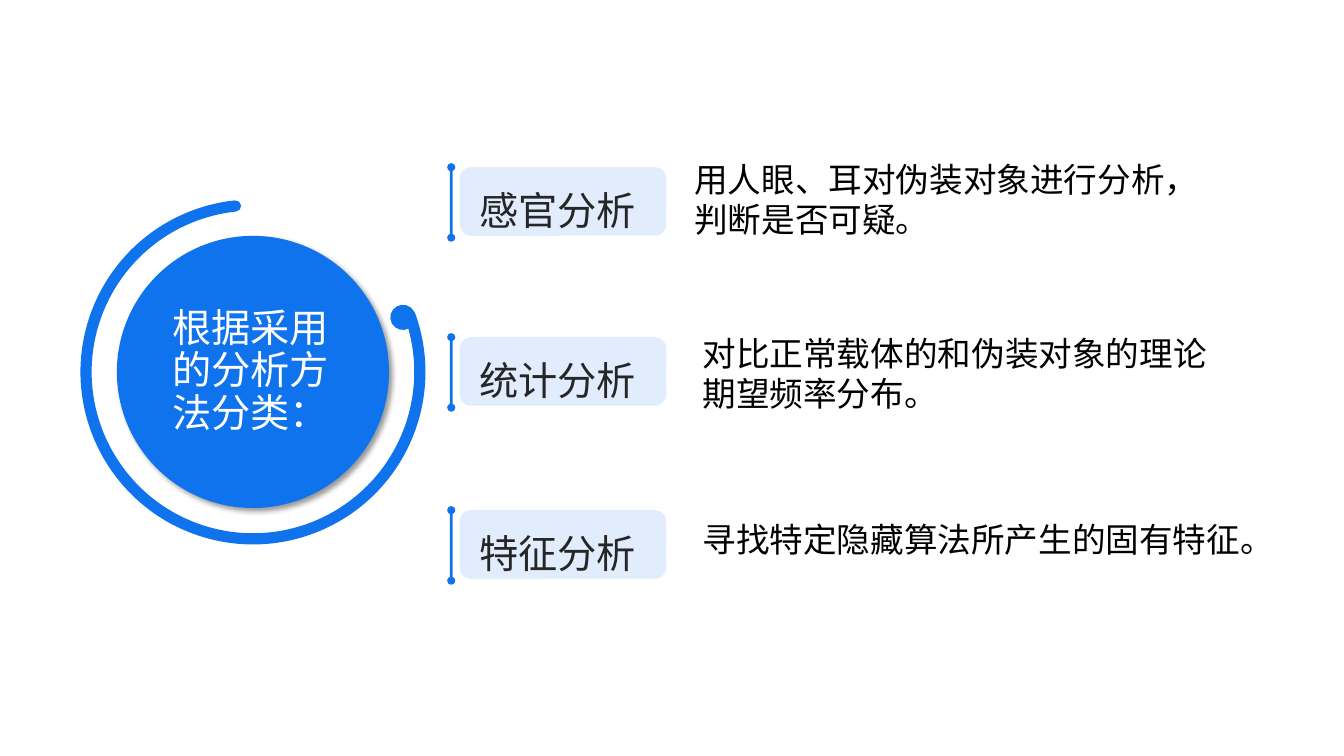
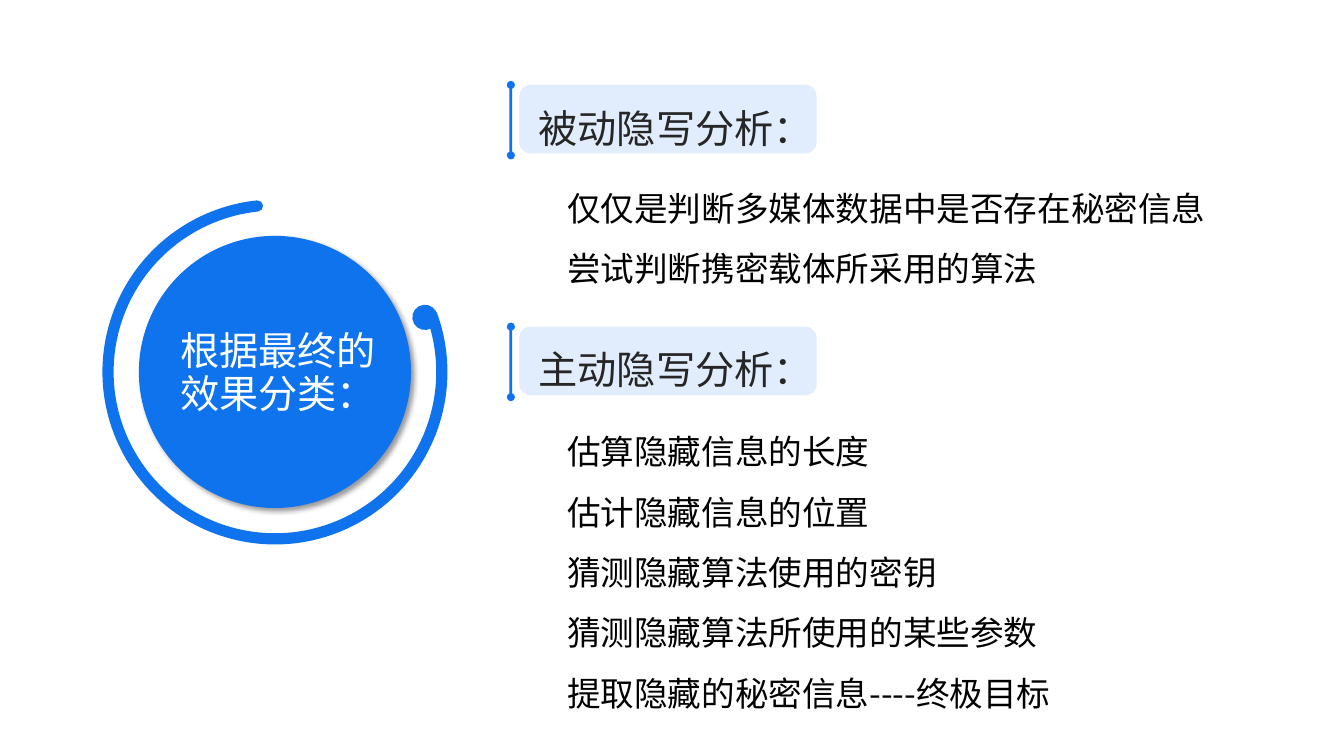
from dataclasses import dataclass
from math import cos, dist, radians, sin, tan
from typing import NamedTuple

from lxml.etree import SubElement
from pptx import Presentation
from pptx.dml.color import RGBColor
from pptx.enum.shapes import MSO_SHAPE
from pptx.enum.text import MSO_ANCHOR, MSO_AUTO_SIZE, PP_ALIGN
from pptx.oxml.ns import qn
from pptx.util import Pt

# Shared style
FONT = "Noto Sans CJK SC"
BLUE, WHITE, BLACK, DARK = "0F73EE", "FFFFFF", "000000", "262626"
HEADING_SIZE, BODY_SIZE = 28, 24
BODY_INDENT = 36

# Emblem: a disc inside an open ring that ends in a knob
CENTER_Y = 265.7
DISC_RADIUS = 97.2
RING_RADIUS, RING_HALF_WIDTH = 119.2, 4
RING_ANGLES = (-20, 20, 106, 196, 252, 264)
KNOB_ORBIT, KNOB_RADIUS = 114, 9

# Label: a tinted plate beside a rail with two dots
LABEL_HEIGHT, RAIL_HEIGHT, DOT_RADIUS = 49, 50.4, 2.9
UNITS_PER_POINT = 100

Point = tuple[float, float]


class Area(NamedTuple):
    left: float
    top: float
    width: float
    height: float

    def lengths(self) -> list:
        return [Pt(value) for value in self]


class Arc(NamedTuple):
    """A circular arc, cut into one curve between each two angles."""
    center: Point
    radius: float
    angles: tuple[float, ...]


@dataclass
class Emblem:
    center_x: float
    text: str
    area: Area


@dataclass
class Label:
    text: str
    left: float
    top: float
    width: float


@dataclass
class Body:
    lines: list[str]
    area: Area
    line_spacing: float = 1.0


def color(hex_value: str) -> RGBColor:
    return RGBColor.from_string(hex_value)


def paint(shape, hex_value: str, opacity: int = 100) -> None:
    """Give a shape a flat fill without outline or inherited shadow."""
    shape.shadow.inherit = False
    shape.line.fill.background()
    shape.fill.solid()
    shape.fill.fore_color.rgb = color(hex_value)
    if opacity < 100:
        tone = shape.element.spPr.find(qn("a:solidFill"))[0]
        SubElement(tone, qn("a:alpha"), val=str(opacity * 1000))


def add_shadow(shape) -> None:
    effects = shape.element.spPr.find(qn("a:effectLst"))
    shadow = SubElement(effects, qn("a:outerShdw"), blurRad=str(Pt(4)),
                        dist=str(Pt(3)), dir="2700000", algn="tl", rotWithShape="0")
    tone = SubElement(shadow, qn("a:srgbClr"), val=BLACK)
    SubElement(tone, qn("a:alpha"), val="40000")


def write(box, lines: list[str], *, area: Area, size: float, ink: str,
          align=PP_ALIGN.LEFT, line_spacing: float = 1.0, level: int = 0,
          indent: float = 0, wrap: bool = True) -> None:
    """Place a text box or placeholder and fill it with paragraphs."""
    box.left, box.top, box.width, box.height = area.lengths()
    frame = box.text_frame
    frame.word_wrap = wrap
    frame.auto_size = MSO_AUTO_SIZE.NONE
    frame.vertical_anchor = MSO_ANCHOR.TOP
    for index, line in enumerate(lines):
        para = frame.add_paragraph() if index else frame.paragraphs[0]
        para.level = level
        para.alignment = align
        para.line_spacing = line_spacing
        para.space_before = para.space_after = Pt(0)
        properties = para._p.get_or_add_pPr()
        properties.set("marL", str(Pt(indent)))
        properties.set("indent", "0")
        properties.set("hangingPunct", "1")
        SubElement(properties, qn("a:buNone"))
        span = para.add_run()
        span.text = line
        span.font.size = Pt(size)
        span.font.name = FONT
        span.font.color.rgb = color(ink)
        SubElement(span._r.get_or_add_rPr(), qn("a:ea"), typeface=FONT)


def polar(center: Point, radius: float, degrees: float) -> Point:
    angle = radians(degrees)
    return center[0] + radius * cos(angle), center[1] + radius * sin(angle)


def arc_points(arc: Arc) -> list[Point]:
    """Return the start, then two control points and an end for each curve."""
    points = [polar(arc.center, arc.radius, arc.angles[0])]
    for start, stop in zip(arc.angles, arc.angles[1:]):
        handle = arc.radius * 4 / 3 * tan(radians(stop - start) / 4)
        end = polar(arc.center, arc.radius, stop)
        points += [polar(points[-1], handle, start + 90),
                   polar(end, -handle, stop + 90), end]
    return points


def add_outline(page, *arcs: Arc) -> None:
    """Fill the closed outline of the arcs, joined by straight sides."""
    points = arc_points(arcs[0])
    for arc in arcs[1:]:
        first, *rest = arc_points(arc)
        if dist(points[-1], first) > 0.01:
            points += [first] * 3
        points += rest
    start, *others = [(x * UNITS_PER_POINT, y * UNITS_PER_POINT) for x, y in points]
    builder = page.shapes.build_freeform(*start, scale=Pt(1) / UNITS_PER_POINT)
    builder.add_line_segments(others, close=True)
    shape = builder.convert_to_shape()
    # Each three points become one curve
    outline = next(shape.element.iter(qn("a:path")))
    sides = outline.findall(qn("a:lnTo"))
    close = outline.find(qn("a:close"))
    for index in range(0, len(sides), 3):
        curve = SubElement(outline, qn("a:cubicBezTo"))
        for side in sides[index:index + 3]:
            curve.append(side[0])
            outline.remove(side)
    outline.append(close)
    paint(shape, BLUE)


def add_ring(page, center: Point) -> None:
    """Draw an open ring with round ends and a knob."""
    start, stop = RING_ANGLES[0], RING_ANGLES[-1]
    add_outline(
        page,
        Arc(center, RING_RADIUS + RING_HALF_WIDTH, RING_ANGLES),
        Arc(polar(center, RING_RADIUS, stop), RING_HALF_WIDTH,
            (stop, stop + 90, stop + 180)),
        Arc(center, RING_RADIUS - RING_HALF_WIDTH, RING_ANGLES[::-1]),
        Arc(polar(center, RING_RADIUS, start), RING_HALF_WIDTH,
            (start + 180, start + 270, start + 360)),
    )
    knob = polar(center, KNOB_ORBIT, start)
    add_outline(page, Arc(knob, KNOB_RADIUS, (150, 240, 330, 420, 510)))


def add_emblem(page, emblem: Emblem) -> None:
    center = emblem.center_x, CENTER_Y
    area = Area(center[0] - DISC_RADIUS, center[1] - DISC_RADIUS,
                2 * DISC_RADIUS, 2 * DISC_RADIUS)
    disc = page.shapes.add_shape(MSO_SHAPE.OVAL, *area.lengths())
    paint(disc, BLUE)
    add_shadow(disc)
    title = page.shapes.title
    write(title, [emblem.text], area=emblem.area, size=HEADING_SIZE, ink=WHITE,
          align=PP_ALIGN.CENTER, line_spacing=0.9)
    disc.element.addnext(title.element)  # the title lies on the disc
    add_ring(page, center)


def add_label(page, label: Label) -> None:
    # Tinted plate
    plate_area = Area(label.left, label.top, label.width, LABEL_HEIGHT)
    plate = page.shapes.add_shape(MSO_SHAPE.ROUNDED_RECTANGLE, *plate_area.lengths())
    paint(plate, BLUE, opacity=12)
    # Rail with a dot at each end
    upper = label.left - 6, label.top
    lower = upper[0], label.top + RAIL_HEIGHT
    add_outline(page,
                Arc(upper, DOT_RADIUS, (-90, 0, 70)),
                Arc(lower, DOT_RADIUS, (-70, 0, 90, 180, 250)),
                Arc(upper, DOT_RADIUS, (110, 180, 270)))
    # Caption
    area = Area(label.left + 6.8, label.top - 6.7, len(label.text) * HEADING_SIZE + 15.4, 52)
    write(page.shapes.add_textbox(*area.lengths()), [label.text], area=area,
          size=HEADING_SIZE, ink=DARK, line_spacing=1.5, wrap=False)


def write_body(box, body: Body) -> None:
    write(box, body.lines, area=body.area, size=BODY_SIZE, ink=BLACK,
          line_spacing=body.line_spacing, level=1, indent=BODY_INDENT)


def add_page(deck, layout_index: int, emblem: Emblem, labels: list[Label],
             bodies: list[Body]) -> None:
    page = deck.slides.add_slide(deck.slide_layouts[layout_index])
    slots = [slot for slot in page.placeholders if slot.placeholder_format.idx > 0]
    add_emblem(page, emblem)
    for label in labels:
        add_label(page, label)
    for index, body in enumerate(bodies):
        box = slots[index] if slots else page.shapes.add_textbox(*body.area.lengths())
        write_body(box, body)


def main() -> None:
    deck = Presentation()
    deck.slide_width, deck.slide_height = Pt(960), Pt(540)
    title_only, two_content = 5, 3

    # Classes by method of analysis
    add_page(
        deck, title_only,
        Emblem(180.7, "根据采用的分析方法分类：", Area(104.1, 216.7, 149.8, 123)),
        [Label(text, 328.3, top, 147.6) for text, top in
         (("感官分析", 119.4), ("统计分析", 240.8), ("特征分析", 364.4))],
        [Body(["用人眼、耳对伪装对象进行分析，判断是否可疑。"],
              Area(452.9, 109.9, 401.8, 65.5)),
         Body(["对比正常载体的和伪装对象的理论期望频率分布。"],
              Area(458.8, 234, 423.4, 65.5)),
         Body(["寻找特定隐藏算法所产生的固有特征。"],
              Area(458.8, 367.2, 449.3, 36))],
    )

    # Classes by final effect
    add_page(
        deck, two_content,
        Emblem(196.4, "根据最终的效果分类：", Area(113.4, 233.6, 170.6, 123)),
        [Label(text, 370.9, top, 212.4) for text, top in
         (("被动隐写分析：", 60.6), ("主动隐写分析：", 233.3))],
        [Body(["仅仅是判断多媒体数据中是否存在秘密信息",
               "尝试判断携密载体所采用的算法"],
              Area(361.8, 116.2, 540, 90), 1.5),
         Body(["估算隐藏信息的长度",
               "估计隐藏信息的位置",
               "猜测隐藏算法使用的密钥",
               "猜测隐藏算法所使用的某些参数",
               "提取隐藏的秘密信息----终极目标"],
              Area(361.8, 289.8, 434.2, 221), 1.5)],
    )
    deck.save("out.pptx")


if __name__ == "__main__":
    main()
